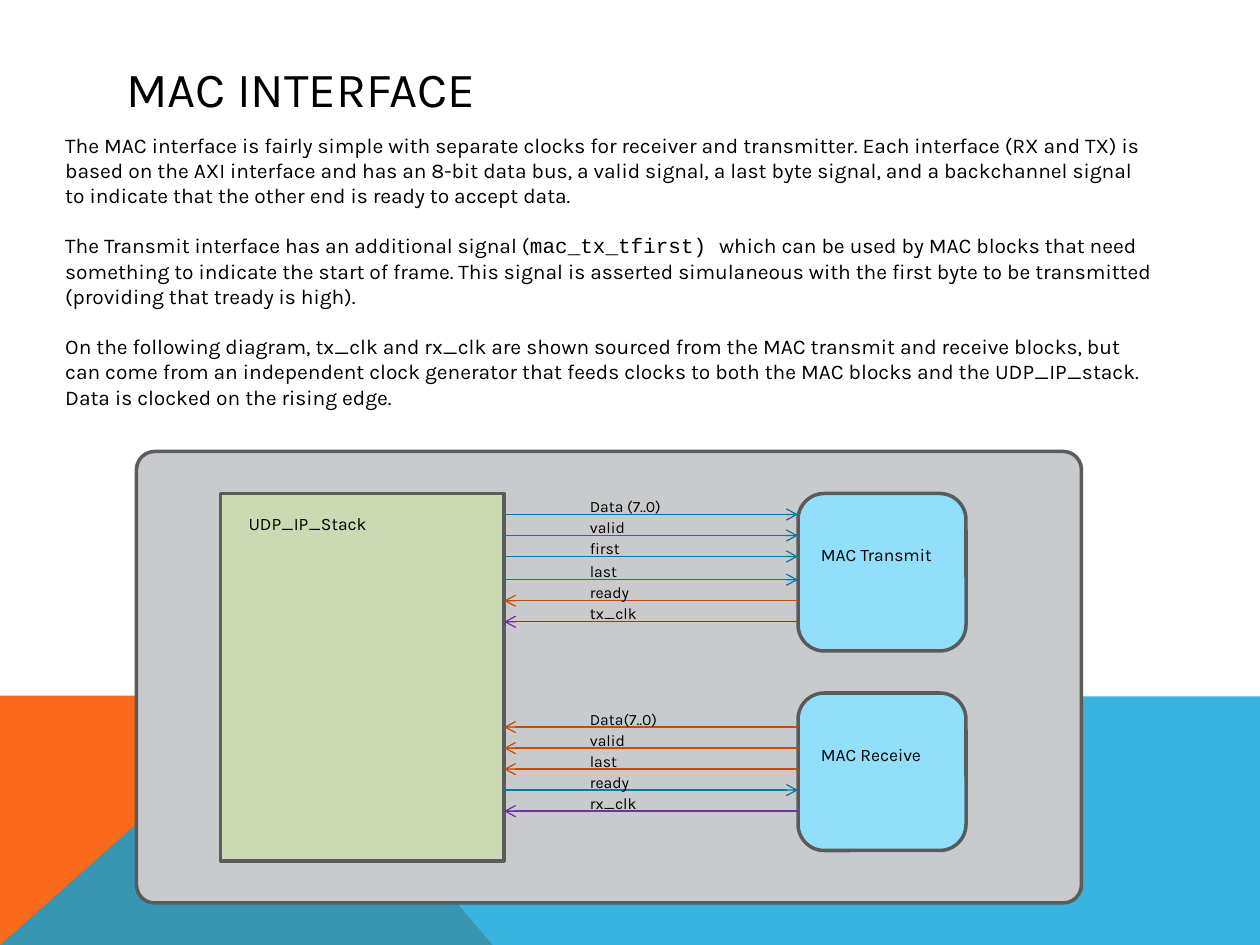
"""Build the MAC interface slide with its signal diagram."""
from lxml.etree import SubElement
from pptx import Presentation
from pptx.dml.color import RGBColor
from pptx.enum.shapes import MSO_CONNECTOR as Line, MSO_SHAPE as Shape
from pptx.enum.text import MSO_ANCHOR as Anchor, PP_ALIGN as Align
from pptx.oxml.ns import qn
from pptx.util import Pt

FONT, MONO = "Karla", "Courier New"
BLACK, BORDER = "000000", "5A5B5D"
BLUE, ORANGE, PURPLE = "0679A3", "CA4B05", "7030A0"

TITLE = "MAC INTERFACE"
BODY = [
    [("The MAC interface is fairly simple with separate clocks for receiver and transmitter. "
      "Each interface (RX and TX) is based on the AXI interface and has an 8-bit data bus, "
      "a valid signal, a last byte signal, and a backchannel signal to indicate that the "
      "other end is ready to accept data.", FONT)],
    [("The Transmit interface has an additional signal (", FONT),
     ("mac_tx_tfirst) ", MONO),
     ("which can be used by MAC blocks that need something to indicate the start of frame. "
      "This signal is asserted simulaneous with the first byte to be transmitted "
      "(providing that tready is high).", FONT)],
    [("On the following diagram, tx_clk and rx_clk are shown sourced from the MAC transmit "
      "and receive blocks, but can come from an independent clock generator that feeds clocks "
      "to both the MAC blocks and the UDP_IP_stack. Data is clocked on the rising edge.", FONT)],
]

BANDS = [
    ("F96A1B", None, [(0, 540), (0, 397.5), (160.6, 397.5), (281.5, 540)]),
    ("08A1D9", 80, [(0, 540), (160.6, 397.5), (720, 398), (720, 540)]),
]

STACK_RIGHT, MAC_LEFT = 288, 456
BLOCKS = [
    (Shape.ROUNDED_RECTANGLE, 78, 258, 540, 258, "C9CACB", 0.04),
    (Shape.RECTANGLE, 126, 282, STACK_RIGHT - 126, 210, "CCDAB3", None),
    (Shape.ROUNDED_RECTANGLE, MAC_LEFT, 282, 96, 90, "91DFFB", None),
    (Shape.ROUNDED_RECTANGLE, MAC_LEFT, 396, 96, 90, "91DFFB", None),
]
BLOCK_NAMES = [
    ("UDP_IP_Stack", 135, 289.6, 144),
    ("MAC Transmit", 462, 307.5, 84),
    ("MAC Receive", 462, 421.5, 84),
]

TO_MAC, TO_STACK = (STACK_RIGHT, MAC_LEFT), (MAC_LEFT, STACK_RIGHT)
SIGNAL_GROUPS = [
    (294, [("Data (7..0)", TO_MAC, BLUE), ("valid", TO_MAC, BLUE), ("first", TO_MAC, BLUE)]),
    (331.3, [("last", TO_MAC, BLUE), ("ready", TO_STACK, ORANGE), ("tx_clk", TO_STACK, PURPLE)]),
    (415.5, [("Data(7..0)", TO_STACK, ORANGE), ("valid", TO_STACK, ORANGE),
             ("last", TO_STACK, ORANGE), ("ready", TO_MAC, BLUE), ("rx_clk", TO_STACK, PURPLE)]),
]
SIGNAL_PITCH, LABEL_RISE = 12, 13.6


def color(value):
    return RGBColor.from_string(value)


def style(para, size):
    para.font.name, para.font.size = FONT, Pt(size)
    para.font.color.rgb = color(BLACK)


def add_text(page, left, top, width, height):
    box = page.shapes.add_textbox(Pt(left), Pt(top), Pt(width), Pt(height))
    box.text_frame.word_wrap = True
    return box.text_frame


def add_label(page, text, left, top, width, height, size):
    frame = add_text(page, left, top, width, height)
    frame.text = text
    style(frame.paragraphs[0], size)


def add_band(page, fill, opacity, points):
    start, *rest = [(Pt(x), Pt(y)) for x, y in points]
    builder = page.shapes.build_freeform(*start)
    builder.add_line_segments(rest, close=True)
    band = builder.convert_to_shape()
    band.shadow.inherit = False
    band.line.fill.background()
    band.fill.solid()
    band.fill.fore_color.rgb = color(fill)
    if opacity:
        tint = band.fill._xPr.find(qn("a:solidFill"))[0]
        SubElement(tint, qn("a:alpha"), val=str(opacity * 1000))


def add_block(page, kind, left, top, width, height, fill, rounding):
    block = page.shapes.add_shape(kind, Pt(left), Pt(top), Pt(width), Pt(height))
    block.shadow.inherit = False
    block.fill.solid()
    block.fill.fore_color.rgb = color(fill)
    block.line.color.rgb = color(BORDER)
    block.line.width = Pt(2)
    if rounding:
        block.adjustments[0] = rounding


def add_signal(page, name, ends, stroke, y):
    start, end = ends
    arrow = page.shapes.add_connector(Line.STRAIGHT, Pt(start), Pt(y), Pt(end), Pt(y))
    arrow.line.color.rgb = color(stroke)
    arrow.line.width = Pt(0.75)
    SubElement(arrow.line._get_or_add_ln(), qn("a:tailEnd"), type="arrow")
    SubElement(arrow._element.spPr, qn("a:effectLst"))
    add_label(page, name, 330, y - LABEL_RISE, 66, 18, 9)


def add_title(page):
    title = page.shapes.title
    title.left, title.top, title.width, title.height = Pt(64.8), Pt(28.8), Pt(592), Pt(43.2)
    title.text_frame.text = TITLE
    title.text_frame.vertical_anchor = Anchor.MIDDLE
    para = title.text_frame.paragraphs[0]
    para.alignment = Align.LEFT
    style(para, 28)


def add_body(page):
    frame = add_text(page, 30.2, 72, 636, 167)
    for index, spans in enumerate(BODY):
        para = frame.add_paragraph() if index else frame.paragraphs[0]
        style(para, 12)
        para.space_before = Pt(14.4 if index else 0)
        for text, font in spans:
            span = para.add_run()
            span.text = text
            if font != FONT:
                span.font.name = font


def main():
    deck = Presentation()
    deck.slide_width, deck.slide_height = Pt(720), Pt(540)
    page = deck.slides.add_slide(deck.slide_layouts[5])
    for band in BANDS:
        add_band(page, *band)
    add_title(page)
    add_body(page)
    for block in BLOCKS:
        add_block(page, *block)
    for name, left, top, width in BLOCK_NAMES:
        add_label(page, name, left, top, width, 19.4, 10)
    for top, signals in SIGNAL_GROUPS:
        for row, signal in enumerate(signals):
            add_signal(page, *signal, top + row * SIGNAL_PITCH)
    deck.save("out.pptx")


if __name__ == "__main__":
    main()
